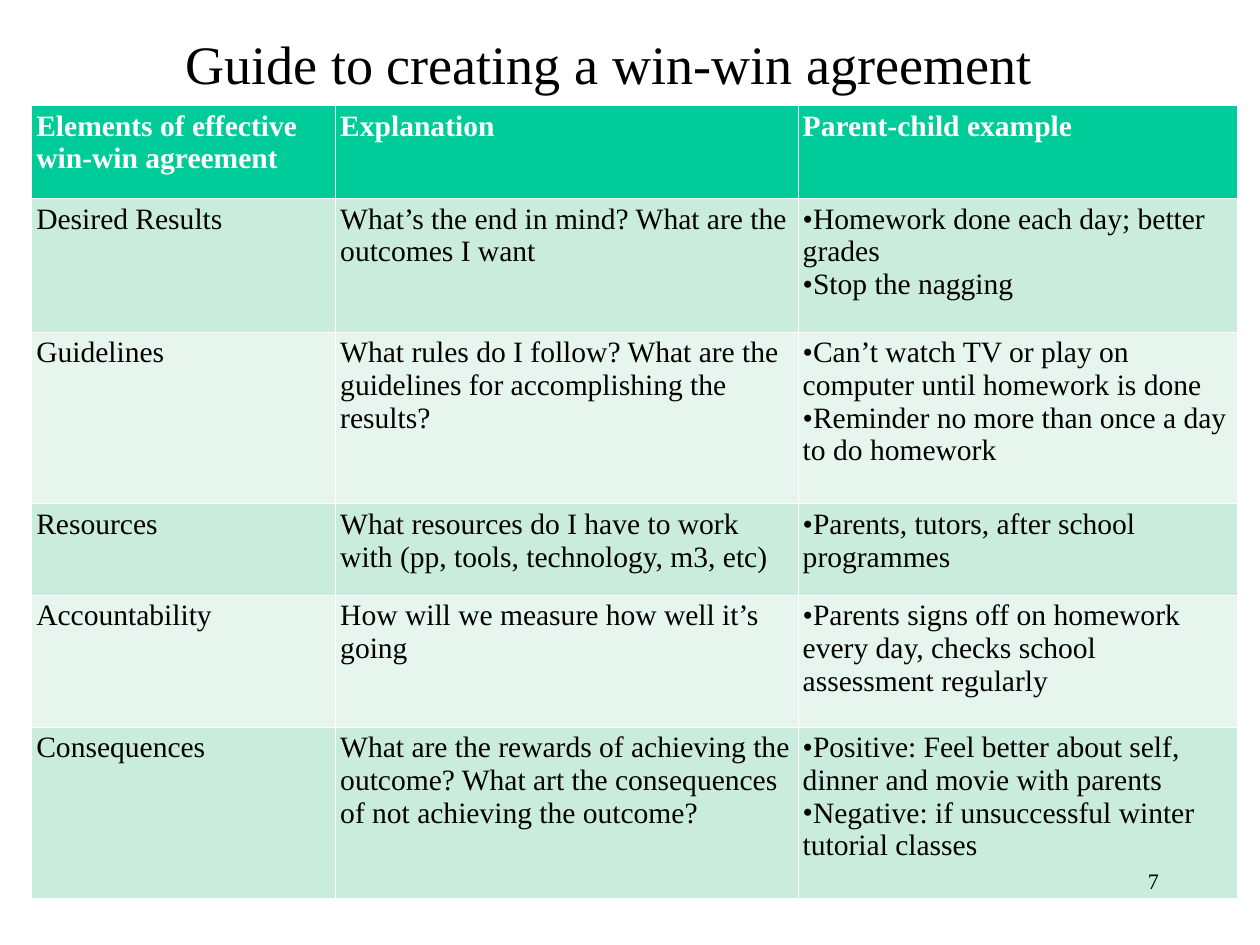
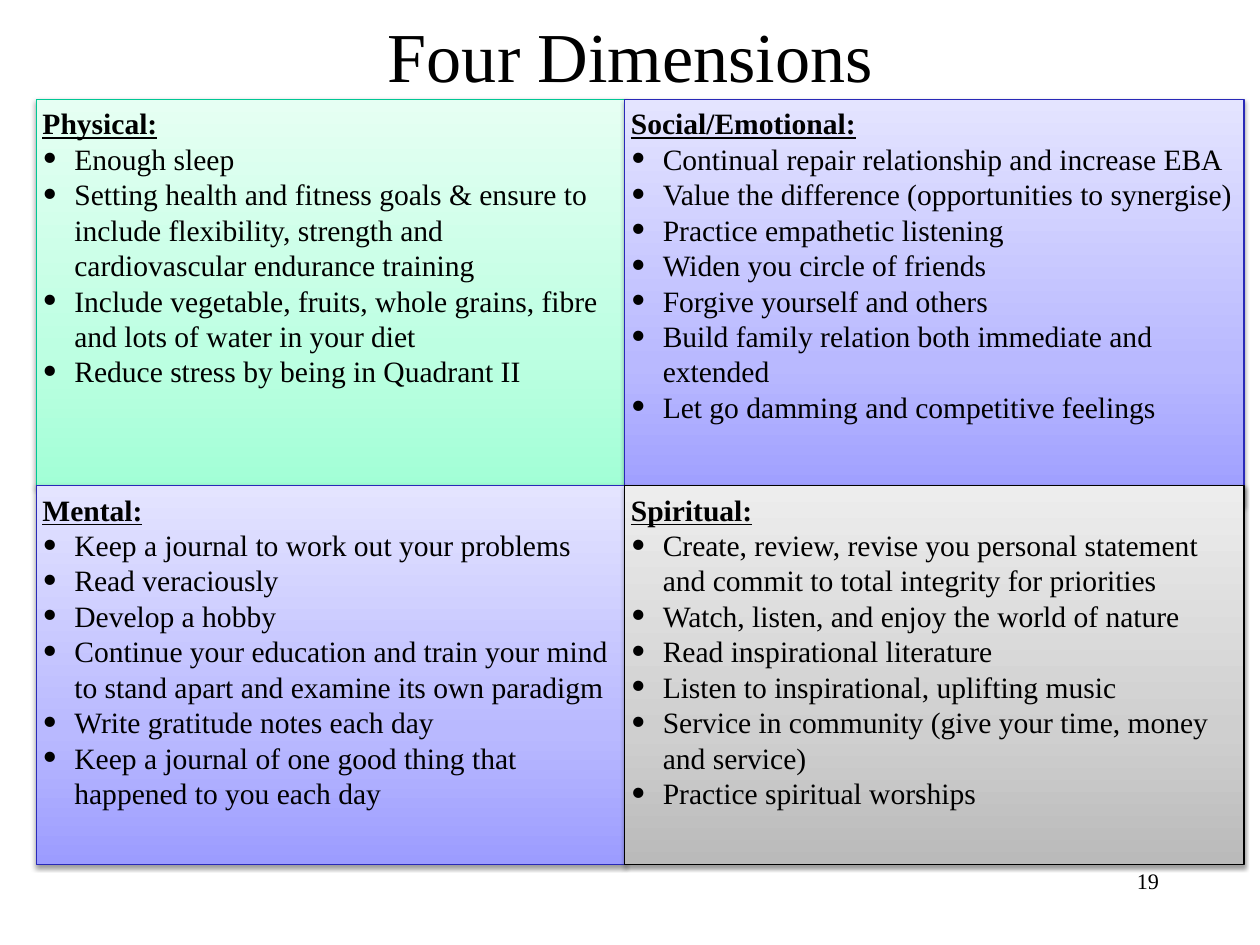
from lxml import etree
from pptx import Presentation
from pptx.dml.color import RGBColor
from pptx.enum import shapes, text
from pptx.oxml import parse_xml
from pptx.oxml.ns import nsdecls, qn
from pptx.util import Inches, Pt

# Shared style
FONT = "Times New Roman"
BLACK = RGBColor(0x00, 0x00, 0x00)
WHITE = RGBColor(0xFF, 0xFF, 0xFF)
HEADER_GREEN = RGBColor(0x00, 0xCC, 0x99)
ROW_GREENS = [RGBColor(0xE6, 0xF6, 0xEF), RGBColor(0xCA, 0xEC, 0xDD)]
GREEN_LINE = RGBColor(0x00, 0xC7, 0x95)
BLUE_LINE = RGBColor(0x29, 0x29, 0xB8)
# Gradient stops at 0, 35 and 100 percent, from the bottom up
GREEN_STOPS = [RGBColor(0xA2, 0xFF, 0xD6), RGBColor(0xBD, 0xFF, 0xE2), RGBColor(0xE6, 0xFF, 0xF3)]
BLUE_STOPS = [RGBColor(0x9C, 0x9C, 0xFF), RGBColor(0xB9, 0xB9, 0xFF), RGBColor(0xE4, 0xE4, 0xFF)]
GREY_STOPS = [RGBColor(0xBA, 0xBA, 0xBA), RGBColor(0xCF, 0xCF, 0xCF), RGBColor(0xED, 0xED, 0xED)]


def add_text(paragraph, words, size=24, color=BLACK, bold=False, underline=False):
    run = paragraph.add_run()
    run.text = words
    font = run.font
    font.name, font.size, font.bold, font.underline = FONT, Pt(size), bold, underline
    font.color.rgb = color


def add_bullet(paragraph, indent=0, percent=100):
    properties = paragraph._p.get_or_add_pPr()
    properties.set("marL", str(Inches(indent)))
    properties.set("indent", str(-Inches(indent)))
    etree.SubElement(properties, qn("a:buSzPct")).set("val", str(percent * 1000))
    etree.SubElement(properties, qn("a:buFont")).set("typeface", FONT)
    etree.SubElement(properties, qn("a:buChar")).set("char", "•")


presentation = Presentation()
presentation.slide_width = Inches(14.22)
presentation.slide_height = Inches(10.67)

# Slides with titles
TITLES = [
    ("Guide to creating a win-win agreement", 44, 0.83, 0, 1.42),
    ("Four Dimensions", 57, 1.07, 0.02, 1.19),
]
slides = []
for words, size, left, top, height in TITLES:
    slide = presentation.slides.add_slide(presentation.slide_layouts[5])
    title = slide.shapes.title
    title.left, title.top = Inches(left), Inches(top)
    title.width, title.height = Inches(12.09), Inches(height)
    frame = title.text_frame
    frame.auto_size = text.MSO_AUTO_SIZE.NONE
    frame.vertical_anchor = text.MSO_ANCHOR.MIDDLE
    frame.margin_left = frame.margin_right = Inches(0.07)
    frame.margin_top = frame.margin_bottom = Inches(0.07)
    frame.paragraphs[0].alignment = text.PP_ALIGN.CENTER
    add_text(frame.paragraphs[0], words, size)
    slides.append(slide)
agreement_slide, dimensions_slide = slides

# Agreement table
ROWS = [
    ("Elements of effective win-win agreement", "Explanation", ["Parent-child example"]),
    ("Desired Results", "What’s the end in mind? What are the outcomes I want",
     ["Homework done each day; better grades", "Stop the nagging"]),
    ("Guidelines",
     "What rules do I follow? What are the guidelines for accomplishing the results?",
     ["Can’t watch TV or play on computer until homework is done",
      "Reminder no more than once a day to do homework"]),
    ("Resources", "What resources do I have to work with (pp, tools, technology, m3, etc)",
     ["Parents, tutors, after school programmes"]),
    ("Accountability", "How will we measure how well it’s going",
     ["Parents signs off on homework every day, checks school assessment regularly"]),
    ("Consequences",
     "What are the rewards of achieving the outcome? "
     "What art the consequences of not achieving the outcome?",
     ["Positive: Feel better about self, dinner and movie with parents",
      "Negative: if unsuccessful winter tutorial classes"]),
]
COLUMN_WIDTHS = [3.43, 5.22, 4.96]
ROW_HEIGHTS = [1.05, 1.51, 1.94, 1.03, 1.49, 1.94]
table = agreement_slide.shapes.add_table(
    len(ROWS), len(COLUMN_WIDTHS), Inches(0.36), Inches(1.19),
    Inches(sum(COLUMN_WIDTHS)), Inches(sum(ROW_HEIGHTS))).table
for column, width in zip(table.columns, COLUMN_WIDTHS):
    column.width = Inches(width)

for row_index, (element, explanation, examples) in enumerate(ROWS):
    table.rows[row_index].height = Inches(ROW_HEIGHTS[row_index])
    is_header = row_index == 0
    for column_index, lines in enumerate([[element], [explanation], examples]):
        cell = table.cell(row_index, column_index)
        cell.margin_left = cell.margin_right = Inches(0.05)
        cell.margin_top = cell.margin_bottom = Inches(0.05)
        for side in ("lnL", "lnR", "lnT", "lnB"):
            cell._tc.get_or_add_tcPr().append(parse_xml(
                f'<a:{side} {nsdecls("a")} w="12700"><a:solidFill>'
                f'<a:srgbClr val="{WHITE}"/></a:solidFill></a:{side}>'))
        cell.fill.solid()
        cell.fill.fore_color.rgb = HEADER_GREEN if is_header else ROW_GREENS[row_index % 2]
        for line_index, line in enumerate(lines):
            frame = cell.text_frame
            paragraph = frame.add_paragraph() if line_index else frame.paragraphs[0]
            if column_index == 2 and not is_header:
                add_bullet(paragraph)
            add_text(paragraph, line, color=WHITE if is_header else BLACK, bold=is_header)

# Four dimension panels: left, top, width, height, gradient, line, heading, points
LEFT, MIDDLE, TOP, LOWER_TOP = 0.41, 7.05, 1.12, 5.48
LEFT_WIDTH, RIGHT_WIDTH = MIDDLE - LEFT, 6.99
PANELS = [
    (LEFT, TOP, LEFT_WIDTH, 4.37, GREEN_STOPS, GREEN_LINE, "Physical:", [
        "Enough sleep",
        "Setting health and fitness goals & ensure to include flexibility, "
        "strength and cardiovascular endurance training",
        "Include vegetable, fruits, whole grains, fibre and lots of water in your diet",
        "Reduce stress by being in Quadrant II"]),
    (MIDDLE, TOP, RIGHT_WIDTH, 4.59, BLUE_STOPS, BLUE_LINE, "Social/Emotional:", [
        "Continual repair relationship and increase EBA",
        "Value the difference (opportunities to synergise)",
        "Practice empathetic listening",
        "Widen you circle of friends",
        "Forgive yourself and others",
        "Build family relation both immediate and extended",
        "Let go damming and competitive feelings"]),
    (LEFT, LOWER_TOP, LEFT_WIDTH, 4.28, BLUE_STOPS, BLUE_LINE, "Mental:", [
        "Keep a journal to work out your problems",
        "Read veraciously",
        "Develop a hobby",
        "Continue your education and train your mind to stand apart "
        "and examine its own paradigm",
        "Write gratitude notes each day",
        "Keep a journal of one good thing that happened to you each day"]),
    (MIDDLE, LOWER_TOP, RIGHT_WIDTH, 4.28, GREY_STOPS, BLACK, "Spiritual:", [
        "Create, review, revise you personal statement "
        "and commit to total integrity for priorities",
        "Watch, listen, and enjoy the world of nature",
        "Read inspirational literature",
        "Listen to inspirational, uplifting music",
        "Service in community (give your time, money and service)",
        "Practice spiritual worships"]),
]
for left, top, width, height, stops, line_color, heading, points in PANELS:
    panel = dimensions_slide.shapes.add_shape(
        shapes.MSO_SHAPE.RECTANGLE, Inches(left), Inches(top), Inches(width), Inches(height))
    panel.line.color.rgb = line_color
    panel.line.width = Pt(1)

    # Three-stop gradient and soft shadow
    stop_xml = "".join(f'<a:gs pos="{position * 1000}"><a:srgbClr val="{color}"/></a:gs>'
                       for position, color in zip((0, 35, 100), stops))
    properties = panel._element.spPr
    properties.find(qn("a:prstGeom")).addnext(parse_xml(
        f'<a:gradFill {nsdecls("a")} rotWithShape="1"><a:gsLst>{stop_xml}</a:gsLst>'
        '<a:lin ang="16200000" scaled="0"/></a:gradFill>'))
    properties.append(parse_xml(
        f'<a:effectLst {nsdecls("a")}><a:outerShdw blurRad="{Pt(4)}" dist="{Pt(2)}" '
        f'dir="5400000" rotWithShape="0"><a:srgbClr val="{BLACK}">'
        '<a:alpha val="38000"/></a:srgbClr></a:outerShdw></a:effectLst>'))

    # Heading and points
    frame = panel.text_frame
    frame.word_wrap = True
    frame.vertical_anchor = text.MSO_ANCHOR.TOP
    frame.margin_left = frame.margin_right = Inches(0.07)
    frame.margin_top = frame.margin_bottom = Inches(0.07)
    for line_index, line in enumerate([heading] + points):
        is_heading = line_index == 0
        paragraph = frame.paragraphs[0] if is_heading else frame.add_paragraph()
        paragraph.alignment = text.PP_ALIGN.LEFT
        if not is_heading:
            add_bullet(paragraph, 0.36, 145)
        add_text(paragraph, line, bold=is_heading, underline=is_heading)

# Page numbers
for slide, number in zip(slides, ("7", "19")):
    box = slide.shapes.add_textbox(Inches(12.65), Inches(9.72), Inches(0.5), Inches(0.42))
    frame = box.text_frame
    frame.word_wrap = True
    frame.margin_left = frame.margin_right = Inches(0.07)
    frame.margin_top = frame.margin_bottom = Inches(0.07)
    frame.paragraphs[0].alignment = text.PP_ALIGN.RIGHT
    add_text(frame.paragraphs[0], number, 18)

presentation.save("out.pptx")
